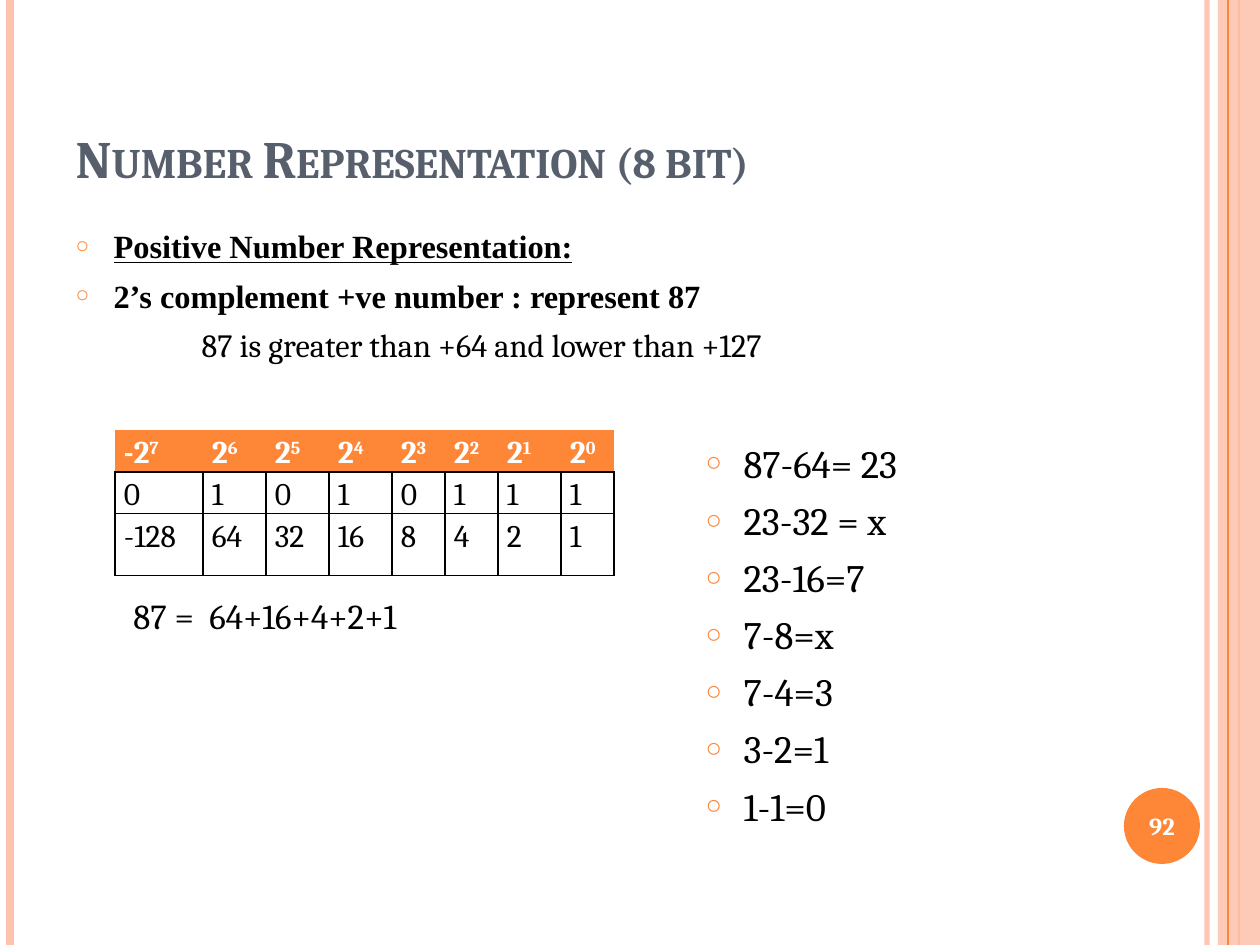
from lxml.etree import SubElement
from pptx import Presentation
from pptx.dml.color import RGBColor
from pptx.enum.shapes import MSO_CONNECTOR, MSO_SHAPE
from pptx.enum.text import MSO_ANCHOR, MSO_AUTO_SIZE, PP_ALIGN
from pptx.oxml.ns import qn
from pptx.util import Emu, Pt

SCALE = 914400 / 126
WIDE, HIGH = 1260, 945
COLORS = {"accent": "FE8637", "pale": "FEC3AE", "title": "575F6D",
          "text": "000000", "white": "FFFFFF"}
SERIF = "Cambria"
ROMAN = "Times New Roman"

# x, width in points, colour, opacity in percent
RULES = [(1207, 3, "pale", 93), (10, 4.5, "pale", 100), (1239, 1.5, "accent", 100)]
EDGE = (1228, 0.75, "accent", 100)

STEPS = ["87-64= 23", "23-32 = x", "23-16=7", "7-8=x", "7-4=3", "3-2=1", "1-1=0"]
POWERS = ["-2", "2", "2", "2", "2", "2", "2", "2"]
BITS = ["0", "1", "0", "1", "0", "1", "1", "1"]
VALUES = ["-128", "64", "32", "16", "8", "4", "2", "1"]
COLS = [88, 63, 63, 63, 53, 53, 63, 53]
ROWS = [40, 34, 62]


def px(num):
    return Emu(round(num * SCALE))


def rgb(name):
    return RGBColor.from_string(COLORS[name])


def apply(obj, fmt):
    for key, val in fmt.items():
        setattr(obj, key, val)


def node(root, tag, **attrs):
    return SubElement(root, qn(tag), attrs)


def fade(root, alpha):
    if alpha < 100:
        color = next(root.iter(qn("a:srgbClr")))
        node(color, "a:alpha", val=str(alpha * 1000))


def write(para, text, size, color="text", name=SERIF, **fmt):
    run = para.add_run()
    run.text = text
    apply(run.font, {"size": Pt(size), "name": name, "bold": False, **fmt})
    run.font.color.rgb = rgb(color)
    return run


def place(shape, left, top, width, height, **fmt):
    apply(shape, {"left": px(left), "top": px(top),
                  "width": px(width), "height": px(height)})
    frame = shape.text_frame
    apply(frame, {"word_wrap": True, "auto_size": MSO_AUTO_SIZE.NONE, **fmt})
    return frame


def line(slide, left, width, color, alpha):
    rule = slide.shapes.add_connector(
        MSO_CONNECTOR.STRAIGHT, px(left), 0, px(left), px(HIGH))
    rule.line.width = Pt(width)
    rule.line.color.rgb = rgb(color)
    node(rule._element.spPr, "a:effectLst")
    fade(rule._element.spPr, alpha)


def block(slide, kind, box, color, alpha=100):
    shape = slide.shapes.add_shape(kind, *map(px, box))
    shape.shadow.inherit = False
    shape.fill.solid()
    shape.fill.fore_color.rgb = rgb(color)
    shape.line.fill.background()
    fade(shape._element.spPr, alpha)


def bullet(para, mark=True, indent=38):
    props = para._p.get_or_add_pPr()
    props.set("marL", str(px(indent)))
    props.set("indent", str(px(-indent if mark else 0)))
    if mark:
        node(node(props, "a:buClr"), "a:srgbClr", val=COLORS["accent"])
        node(props, "a:buSzPct", val="70000")
        node(props, "a:buChar", char="○")
    else:
        node(props, "a:buNone")


def items(frame, rows):
    """Each row is text, size, bullet shown, run format."""
    for num, (text, size, mark, fmt) in enumerate(rows):
        para = frame.add_paragraph() if num else frame.paragraphs[0]
        bullet(para, mark, 38 if mark else 126)
        para.space_before = Pt(6 if num else 0)
        write(para, text, size, **fmt)


def border(cell, head):
    props = cell._tc.get_or_add_tcPr()
    for side in "LRTB":
        edge = node(props, f"a:ln{side}", w=str(Pt(1)))
        if head and side != "B":
            node(edge, "a:noFill")
        else:
            node(node(edge, "a:solidFill"), "a:srgbClr", val=COLORS["text"])


def fill(cell, text, power=None):
    head = power is not None
    apply(cell, {"margin_left": px(9), "margin_right": px(9),
                 "margin_top": 0, "margin_bottom": 0})
    border(cell, head)
    para = cell.text_frame.paragraphs[0]
    para.line_spacing = 1.15
    if head:
        cell.fill.solid()
        cell.fill.fore_color.rgb = rgb("accent")
        write(para, text, 18, "white", bold=True)
        high = write(para, str(power), 18, "white", bold=True)
        high.font._element.set("baseline", "30000")
    else:
        cell.fill.background()
        write(para, text, 18)


def grid(slide):
    table = slide.shapes.add_table(
        len(ROWS), len(COLS), px(115), px(430), px(sum(COLS)), px(sum(ROWS))).table
    apply(table, {"first_row": False, "horz_banding": False})
    for col, width in zip(table.columns, COLS):
        col.width = px(width)
    for row, height in zip(table.rows, ROWS):
        row.height = px(height)
    for row, texts in enumerate([POWERS, BITS, VALUES]):
        for col, text in enumerate(texts):
            fill(table.cell(row, col), text, None if row else 7 - col)


def label(slide, box):
    return place(slide.shapes.add_textbox(0, 0, 0, 0), *box)


def main():
    deck = Presentation()
    apply(deck, {"slide_width": px(WIDE), "slide_height": px(HIGH)})
    slide = deck.slides.add_slide(deck.slide_layouts[3])
    title, body, steps = slide.placeholders

    # Side stripes and number disc
    for rule in RULES:
        line(slide, *rule)
    block(slide, MSO_SHAPE.RECTANGLE, (1218, 0, 42, HIGH), "pale", 87)
    line(slide, *EDGE)
    block(slide, MSO_SHAPE.OVAL, (1124, 788, 76, 76), "accent")

    # Title
    frame = place(title, 63, 38, 1029, 157, vertical_anchor=MSO_ANCHOR.BOTTOM)
    para = frame.paragraphs[0]
    para.alignment = PP_ALIGN.LEFT
    run = write(para, "Number Representation (8 bit)", 30, "title", bold=True)
    run.font._element.set("cap", "small")

    # Lists
    strong = {"name": ROMAN, "bold": True}
    items(place(body, 63, 220, 1124, 168), [
        ("Positive Number Representation:", 18.5, True, {**strong, "underline": True}),
        ("2’s complement +ve number : represent 87", 18.5, True, strong),
        ("87 is greater than +64 and lower than +127", 18.5, False, {}),
    ])
    items(place(steps, 693, 433, 415, 378),
          [(step, 22.2, True, {}) for step in STEPS])

    # Bit table and its sum
    grid(slide)
    para = label(slide, (121, 588, 372, 55)).paragraphs[0]
    tabs = node(para._p.get_or_add_pPr(), "a:tabLst")
    node(tabs, "a:tab", pos=str(px(76)), algn="l")
    write(para, "87 =\t64+16+4+2+1", 20)

    # Slide number
    frame = label(slide, (1120, 790, 84, 72))
    frame.vertical_anchor = MSO_ANCHOR.MIDDLE
    para = frame.paragraphs[0]
    para.alignment = PP_ALIGN.CENTER
    write(para, "92", 14, "white", bold=True)

    deck.save("out.pptx")


if __name__ == "__main__":
    main()
